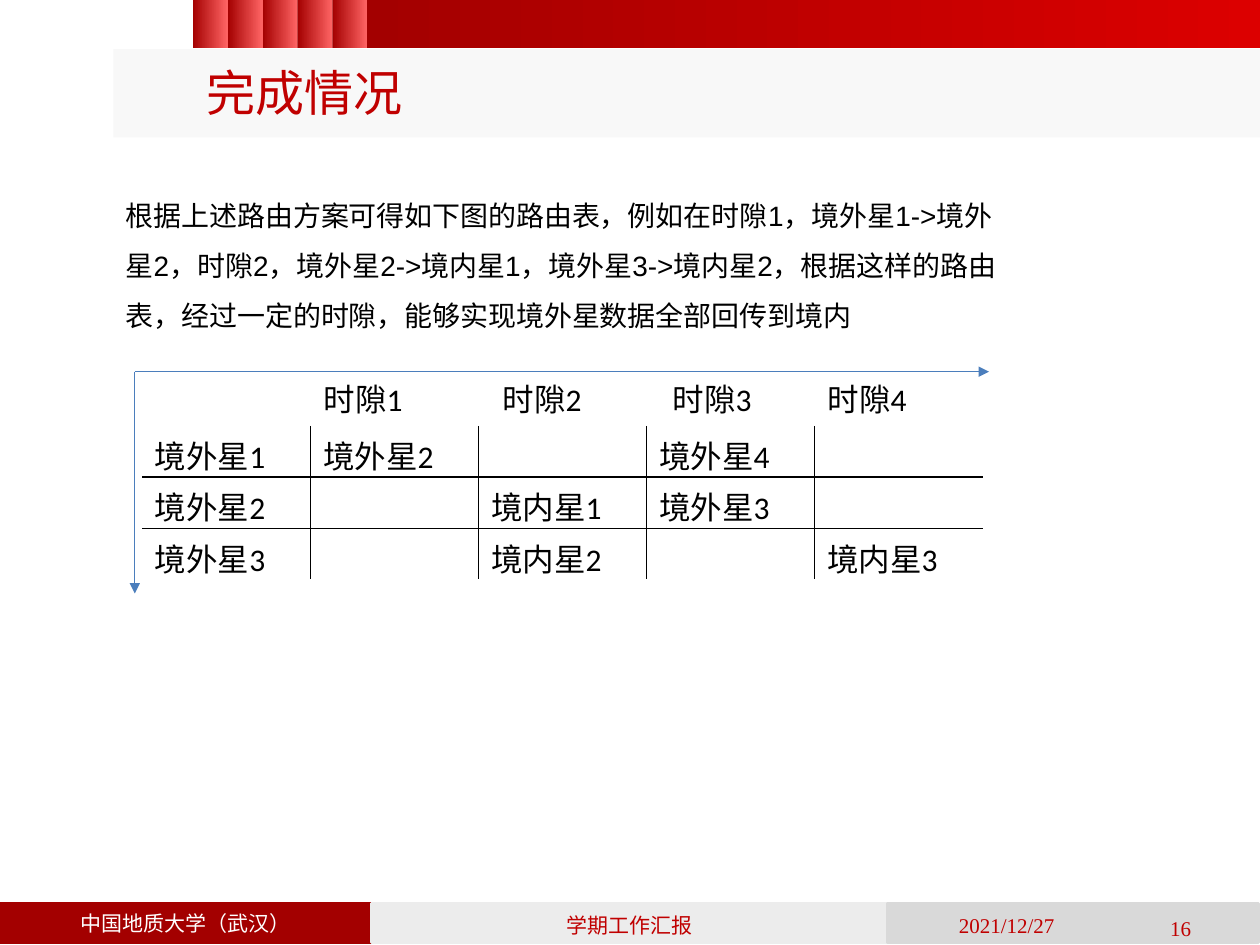
import pptx
import pptx.util
import pptx.dml.color
import pptx.enum.shapes
import pptx.enum.text
import pptx.oxml
import pptx.oxml.ns

Inches = pptx.util.Inches
Pt = pptx.util.Pt
SHAPES = pptx.enum.shapes.MSO_SHAPE
ANCHOR = pptx.enum.text.MSO_ANCHOR
ALIGN = pptx.enum.text.PP_ALIGN
NAMESPACE = pptx.oxml.ns.nsdecls("a")
RED = "C00000"
DARK_RED = "A30000"
BLACK = "000000"


def color(value):
    """Return the colour for a hex string."""
    return pptx.dml.color.RGBColor.from_string(value)


def inches(box):
    """Convert a box of numbers to lengths."""
    return [Inches(number) for number in box]


def apply_format(target, values):
    """Set each attribute named in a dict."""
    for name, value in values.items():
        setattr(target, name, value)


def write(frame, text, size, font, fill, frame_format=None, paragraph_format=None):
    """Put one formatted paragraph into a text frame."""
    apply_format(frame, {"word_wrap": True, **(frame_format or {})})
    paragraph = frame.paragraphs[0]
    apply_format(paragraph, paragraph_format or {})
    run = paragraph.add_run()
    run.text = text
    apply_format(run.font, {"size": Pt(size), "name": font})
    run.font.color.rgb = color(fill)
    return paragraph


def add_text(slide, box, *text_format):
    """Add a text box and return its paragraph."""
    return write(slide.shapes.add_textbox(*inches(box)).text_frame, *text_format)


def add_panel(slide, box, fill, end=None, outline=None):
    """Add a rectangle with a plain or gradient fill."""
    shape = slide.shapes.add_shape(SHAPES.RECTANGLE, *inches(box))
    shape.shadow.inherit = False
    if end:
        shape.fill.gradient()
        shape.fill.gradient_angle = 0
        for stop, value in zip(shape.fill.gradient_stops, (fill, end)):
            stop.color.rgb = color(value)
    else:
        shape.fill.solid()
        shape.fill.fore_color.rgb = color(fill)
    if outline:
        shape.line.color.rgb = color(fill)
        shape.line.width = Pt(outline)
    else:
        shape.line.fill.background()


def add_header(slide, left, top, width, title_text):
    """Draw the red banner and the title band below it."""
    band_left, step, height, count = left + 0.63, 0.277, 0.38, 5
    add_panel(slide, (left, top + 0.39, width, 0.7), "F8F8F8")
    for index in range(count):
        add_panel(slide, (band_left + index * step, top, step, height), DARK_RED, "FF6464")
    bar_left = band_left + count * step
    add_panel(slide, (bar_left, top, left + width - bar_left, height), DARK_RED, "DC0000")
    title = slide.shapes.title
    title.element.getparent().append(title.element)
    box = inches((left + 0.64, top + 0.38, 8.17, 0.7))
    apply_format(title, dict(zip(("left", "top", "width", "height"), box)))
    write(title.text_frame, title_text, 28, "Calibri", RED,
          {"vertical_anchor": ANCHOR.MIDDLE}, {"alignment": ALIGN.LEFT})


def add_footer(slide, left, top, height):
    """Draw the three footer panels and their labels."""
    panels = ((0, 2.95, DARK_RED), (2.95, 4.09, "ECECEC"), (7.05, 2.94, "D9D9D9"))
    labels = (
        (0, 0, 2.94, "中国地质大学（武汉）", "Times New Roman", "FFFFFF"),
        (2.94, 0.02, 4.11, "学期工作汇报", "Calibri", RED),
        (7.2, 0.02, 1.58, "2021/12/27", "Times New Roman", RED),
        (8.7, 0.04, 1.34, "16", "Times New Roman", RED),
    )
    for offset, width, fill in panels:
        add_panel(slide, (left + offset, top, width, height), fill, outline=2)
    for offset, drop, width, text, font, fill in labels:
        add_text(slide, (left + offset, top + drop, width, height), text, 12, font, fill,
                 {"vertical_anchor": ANCHOR.MIDDLE}, {"alignment": ALIGN.CENTER})


def add_arrow(slide, start, end):
    """Add a blue line with a triangle at its end."""
    arrow = slide.shapes.add_connector(
        pptx.enum.shapes.MSO_CONNECTOR.STRAIGHT, *inches(start + end))
    arrow.line.color.rgb = color("4B7EBC")
    arrow.line.width = Pt(0.75)
    arrow.line._get_or_add_ln().append(
        pptx.oxml.parse_xml(f'<a:tailEnd {NAMESPACE} type="triangle"/>'))
    arrow.element.spPr.append(pptx.oxml.parse_xml(f"<a:effectLst {NAMESPACE}/>"))


def set_borders(cell, visible):
    """Draw the named cell sides in black and hide the others."""
    properties = cell._tc.get_or_add_tcPr()
    for index, side in enumerate("LRTB"):
        fill = '<a:solidFill><a:srgbClr val="000000"/></a:solidFill>'
        if side not in visible:
            fill = "<a:noFill/>"
        properties.insert(index, pptx.oxml.parse_xml(
            f'<a:ln{side} {NAMESPACE} w="12700">{fill}</a:ln{side}>'))


def add_route_table(slide, left, top, width, height, rows):
    """Add the routing table with inner rules only."""
    row_count, column_count = len(rows), len(rows[0])
    frame = slide.shapes.add_table(
        row_count, column_count, *inches((left, top, width, height)))
    table = frame.table
    apply_format(table, {"first_row": False, "horz_banding": False})
    for row, texts in enumerate(rows):
        for column, text in enumerate(texts):
            cell = table.cell(row, column)
            cell.fill.background()
            sides = {"L": column > 0, "R": column < column_count - 1,
                     "T": row > 0, "B": row < row_count - 1}
            set_borders(cell, [side for side, shown in sides.items() if shown])
            write(cell.text_frame, text, 18, "Calibri", BLACK)


def add_route_chart(slide, left, top, width, height):
    """Draw the two axes, the slot labels and the routing table."""
    add_route_table(slide, left + 0.06, top + 0.43, 6.67, 1.22, (
        ("境外星1", "境外星2", "", "境外星4", ""),
        ("境外星2", "", "境内星1", "境外星3", ""),
        ("境外星3", "", "境内星2", "", "境内星3"),
    ))
    add_arrow(slide, (left, top), (left + width, top))
    add_arrow(slide, (left, top), (left, top + height))
    slots = "\t".join(f"时隙{number}" for number in range(1, 5))
    paragraph = add_text(slide, (left + 1.4, top + 0.02, 5.05, 0.4),
                         slots, 18, "Calibri", BLACK)
    stops = "".join(f'<a:tab pos="{Inches(position)}" algn="l"/>'
                    for position in (1.42, 2.77, 4))
    paragraph._p.get_or_add_pPr().append(
        pptx.oxml.parse_xml(f"<a:tabLst {NAMESPACE}>{stops}</a:tabLst>"))


def build():
    """Build the slide and save it."""
    presentation = pptx.Presentation()
    apply_format(presentation, {"slide_width": Inches(10), "slide_height": Inches(7.5)})
    slide = presentation.slides.add_slide(presentation.slide_layouts[5])
    add_footer(slide, 0, 7.17, 0.31)
    add_header(slide, 0.9, 0, 9.1, "完成情况")
    add_text(slide, (0.9, 1.39, 7.12, 1.31),
             "根据上述路由方案可得如下图的路由表，例如在时隙1，境外星1->境外星2，"
             "时隙2，境外星2->境内星1，境外星3->境内星2，根据这样的路由表，"
             "经过一定的时隙，能够实现境外星数据全部回传到境内",
             16, "Arial", BLACK, None, {"line_spacing": 1.5})
    add_route_chart(slide, 1.07, 2.95, 6.78, 1.76)
    presentation.save("out.pptx")


build()
